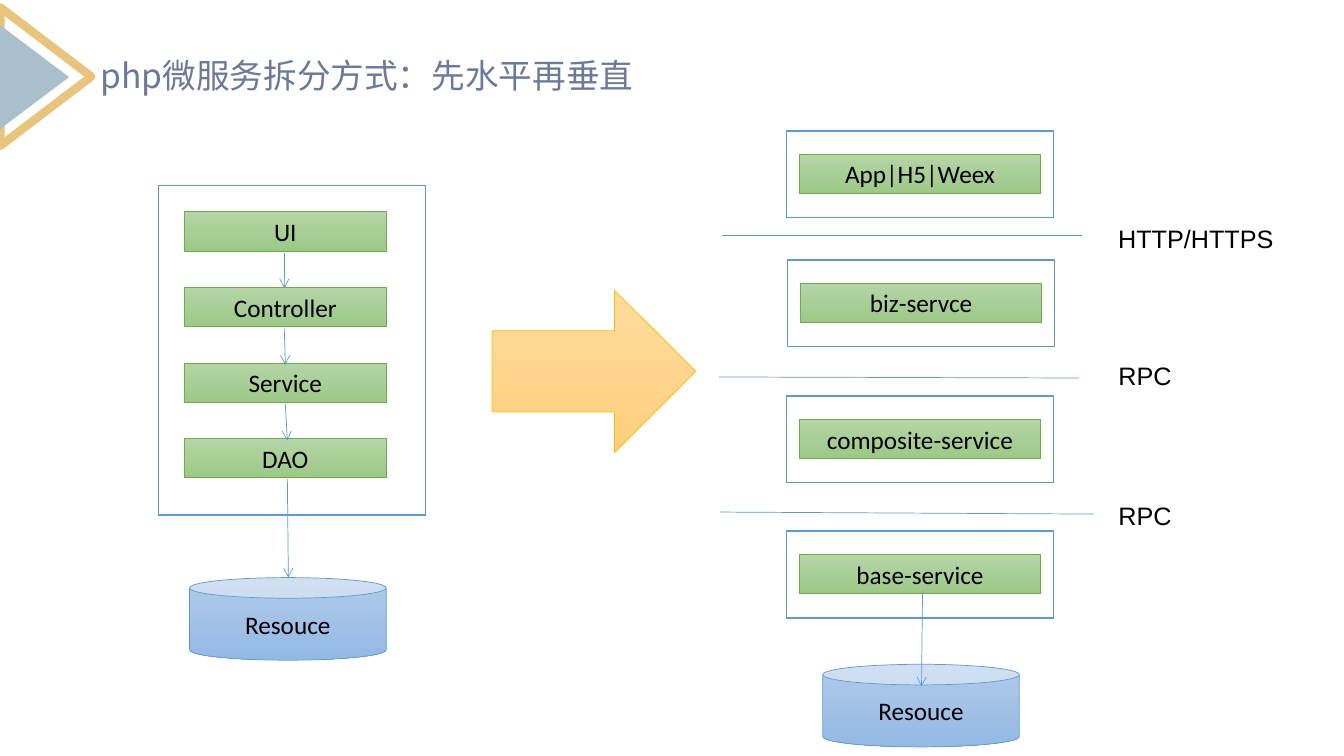
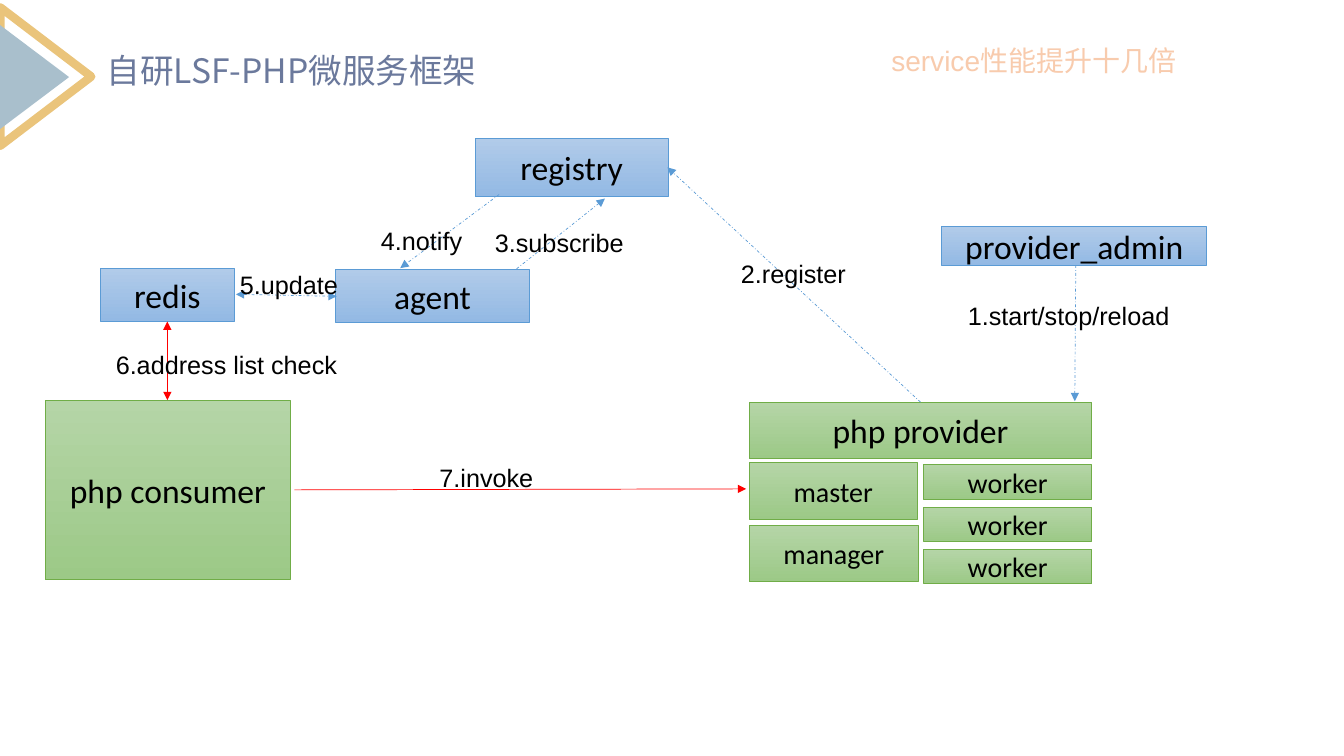
import pptx
import pptx.dml.color
import pptx.enum.dml
import pptx.enum.shapes
import pptx.enum.text
import pptx.oxml
import pptx.oxml.ns
import pptx.util
from lxml import etree

Inches = pptx.util.Inches
Pt = pptx.util.Pt
RGBColor = pptx.dml.color.RGBColor
Shape = pptx.enum.shapes.MSO_SHAPE
Align = pptx.enum.text.PP_ALIGN
Anchor = pptx.enum.text.MSO_ANCHOR
qn = pptx.oxml.ns.qn

GOLD = RGBColor(0xEA, 0xC4, 0x7B)
SLATE = RGBColor(0xA9, 0xBF, 0xCC)
TITLE = RGBColor(0x6B, 0x79, 0x9C)
BLACK = RGBColor(0x00, 0x00, 0x00)
BLUE = RGBColor(0x5B, 0x9B, 0xD5)
RED = RGBColor(0xFF, 0x00, 0x00)
PEACH = RGBColor(0xF8, 0xCB, 0xAD)
ORANGE = RGBColor(0xED, 0x7D, 0x31)
GREEN_STYLE = (RGBColor(0xB5, 0xD5, 0xA7), RGBColor(0x9C, 0xC9, 0x87), RGBColor(0x70, 0xAD, 0x47))
BLUE_STYLE = (RGBColor(0xB1, 0xCB, 0xE9), RGBColor(0x93, 0xB9, 0xE4), BLUE)
AMBER_STYLE = (RGBColor(0xFF, 0xDB, 0x9E), RGBColor(0xFF, 0xD0, 0x7C), RGBColor(0xFF, 0xC0, 0x00))
TITLE_FONT = "Noto Sans CJK SC"


def add_text(page, text, place, kind=None, style=None, size=18, font="Arial", color=BLACK,
             align=Align.LEFT, spacing=None, wrap=True, grow=False, outline=None):
    lengths = [Inches(value) for value in place]
    if kind is None:
        box = page.shapes.add_textbox(*lengths)
    else:
        box = page.shapes.add_shape(kind, *lengths)
        box.shadow.inherit = False
        box.fill.gradient()
        box.fill.gradient_angle = 270
        for stop, shade in zip(box.fill.gradient_stops, style):
            stop.color.rgb = shade
        box.line.color.rgb = style[2]
        box.line.width = Pt(0.5)
        box.text_frame.vertical_anchor = Anchor.MIDDLE
        font, align = "Calibri", Align.CENTER
    if not text:
        return
    frame = box.text_frame
    frame.word_wrap = wrap
    if grow:
        frame.auto_size = pptx.enum.text.MSO_AUTO_SIZE.SHAPE_TO_FIT_TEXT
    para = frame.paragraphs[0]
    para.alignment = align
    if spacing:
        para.line_spacing = spacing
    span = para.add_run()
    span.text = text
    span.font.size = Pt(size)
    span.font.name = font
    span.font.color.rgb = color
    properties = span.font._element
    etree.SubElement(properties, qn("a:ea")).set("typeface", font)
    if outline:
        edge = etree.Element(qn("a:ln"), w=str(Pt(1.75)))
        paint = etree.SubElement(edge, qn("a:solidFill"))
        etree.SubElement(paint, qn("a:srgbClr")).set("val", str(outline))
        properties.insert(0, edge)


def add_line(page, start, end, color=BLUE, dashed=False, head=None, tail=None):
    line = page.shapes.add_connector(pptx.enum.shapes.MSO_CONNECTOR.STRAIGHT,
                                     *[Inches(value) for value in start + end])
    line.line.color.rgb = color
    line.line.width = Pt(0.5)
    if dashed:
        line.line.dash_style = pptx.enum.dml.MSO_LINE.DASH_DOT
    stroke = line.line._get_or_add_ln()
    for tag, arrow in (("a:headEnd", head), ("a:tailEnd", tail)):
        if arrow:
            etree.SubElement(stroke, qn(tag)).set("type", arrow)
    etree.SubElement(line._element.spPr, qn("a:effectLst"))


deck = pptx.Presentation()
deck.slide_width = Inches(13.33)
deck.slide_height = Inches(7.5)

pages = []
for title, place in (
    ("php微服务拆分方式：先水平再垂直", (0.9, 0.5, 5.55, 0.5)),
    ("自研LSF-PHP微服务框架", (0.96, 0.45, 4.3, 0.5)),
):
    page = deck.slides.add_slide(deck.slide_layouts[6])
    pages.append(page)
    for corner, filled in (((-0.23, 0.31, 1.37, 0.9), False), ((-0.18, 0.42, 1.04, 0.69), True)):
        triangle = page.shapes.add_shape(Shape.ISOSCELES_TRIANGLE, *[Inches(value) for value in corner])
        triangle.rotation = 90
        triangle.shadow.inherit = False
        if filled:
            triangle.fill.solid()
            triangle.fill.fore_color.rgb = SLATE
            triangle.line.fill.background()
        else:
            triangle.fill.background()
            triangle.line.color.rgb = GOLD
            triangle.line.width = Pt(6)
    add_text(page, title, place, size=24, font=TITLE_FONT, color=TITLE, grow=True)

split_page, framework_page = pages

tiers = [("App|H5|Weex", 7.8, 1.3), ("biz-servce", 7.81, 2.58),
         ("composite-service", 7.8, 3.93), ("base-service", 7.8, 5.27)]
for name, left, top in tiers:
    add_text(split_page, name, (left + 0.13, top + 0.23, 2.39, 0.39), Shape.FLOWCHART_PROCESS, GREEN_STYLE)

for index, name in enumerate(["UI", "Controller", "Service", "DAO"]):
    add_text(split_page, name, (1.83, 2.1 + 0.75 * index, 2, 0.39), Shape.FLOWCHART_PROCESS, GREEN_STYLE)

frames = [(left, top, 2.65, 0.86) for name, left, top in tiers] + [(1.57, 1.84, 2.65, 3.27)]
for place in frames:
    frame = split_page.shapes.add_shape(Shape.FLOWCHART_PROCESS, *[Inches(value) for value in place])
    frame.shadow.inherit = False
    frame.fill.background()
    frame.line.color.rgb = BLUE
    frame.line.width = Pt(1)

for left, top in ((1.88, 5.73), (8.16, 6.59)):
    add_text(split_page, "Resouce", (left, top, 1.95, 0.82), Shape.CAN, BLUE_STYLE)

for start, end in (
    ((2.82, 2.51), (2.82, 2.86)),
    ((2.82, 3.26), (2.83, 3.62)),
    ((2.83, 4.01), (2.85, 4.37)),
    ((2.85, 4.75), (2.86, 5.73)),
    ((9.15, 5.87), (9.14, 6.81)),
):
    add_line(split_page, start, end, tail="arrow")

for protocol, top, width, start, end in (
    ("HTTP/HTTPS", 2.08, 1.74, (7.16, 2.34), (10.73, 2.34)),
    ("RPC", 3.44, 0.73, (7.13, 3.74), (10.7, 3.75)),
    ("RPC", 4.82, 0.73, (7.14, 5.08), (10.85, 5.1)),
):
    add_line(split_page, start, end)
    add_text(split_page, protocol, (10.99, top, width, 0.49), align=Align.RIGHT,
             spacing=1.3, wrap=False, grow=True)

add_text(split_page, "", (4.88, 2.88, 2.02, 1.61), Shape.RIGHT_ARROW, AMBER_STYLE)

add_text(framework_page, "service性能提升十几倍", (7.86, 0.45, 4.79, 0.35), size=20, color=PEACH,
         align=Align.CENTER, spacing=0.8, outline=ORANGE)

nodes = [
    ("registry", (4.71, 1.37, 1.92, 0.58), BLUE_STYLE, 24),
    ("provider_admin", (9.34, 2.25, 2.63, 0.38), BLUE_STYLE, 24),
    ("redis", (1, 2.66, 1.32, 0.53), BLUE_STYLE, 24),
    ("agent", (3.33, 2.67, 1.92, 0.53), BLUE_STYLE, 24),
    ("php consumer", (0.45, 3.97, 2.43, 1.78), GREEN_STYLE, 24),
    ("php provider", (7.43, 3.99, 3.4, 0.56), GREEN_STYLE, 24),
    ("master", (7.43, 4.59, 1.67, 0.56), GREEN_STYLE, 20),
    ("manager", (7.43, 5.21, 1.68, 0.56), GREEN_STYLE, 20),
]
for index in range(3):
    nodes.append(("worker", (9.16, 4.61 + 0.42 * index, 1.67, 0.34), GREEN_STYLE, 20))
for name, place, style, size in nodes:
    add_text(framework_page, name, place, Shape.RECTANGLE, style, size=size)

for start, end, color, dashed, head, tail in (
    ((10.67, 2.63), (10.66, 3.98), BLUE, True, None, "triangle"),
    ((9.13, 3.99), (6.62, 1.66), BLUE, True, None, "triangle"),
    ((6, 1.97), (5.12, 2.67), BLUE, True, "triangle", None),
    ((4.95, 1.93), (3.97, 2.66), BLUE, True, None, "triangle"),
    ((2.34, 2.92), (3.34, 2.94), BLUE, True, "triangle", "triangle"),
    ((1.66, 3.97), (1.66, 3.19), RED, False, "triangle", "triangle"),
    ((2.92, 4.86), (7.4, 4.85), RED, False, None, "triangle"),
):
    add_line(framework_page, start, end, color, dashed, head, tail)

for step, left, top, width in (
    ("1.start/stop/reload", 9.5, 2.84, 2.35),
    ("2.register", 7.25, 2.42, 1.76),
    ("3.subscribe", 4.81, 2.12, 1.61),
    ("4.notify", 3.68, 2.1, 1.01),
    ("5.update", 2.28, 2.53, 1.32),
    ("6.address list check", 1.05, 3.33, 2.44),
    ("7.invoke", 4.26, 4.45, 1.25),
):
    add_text(framework_page, step, (left, top, width, 0.49), spacing=1.3, grow=True)

deck.save("out.pptx")
